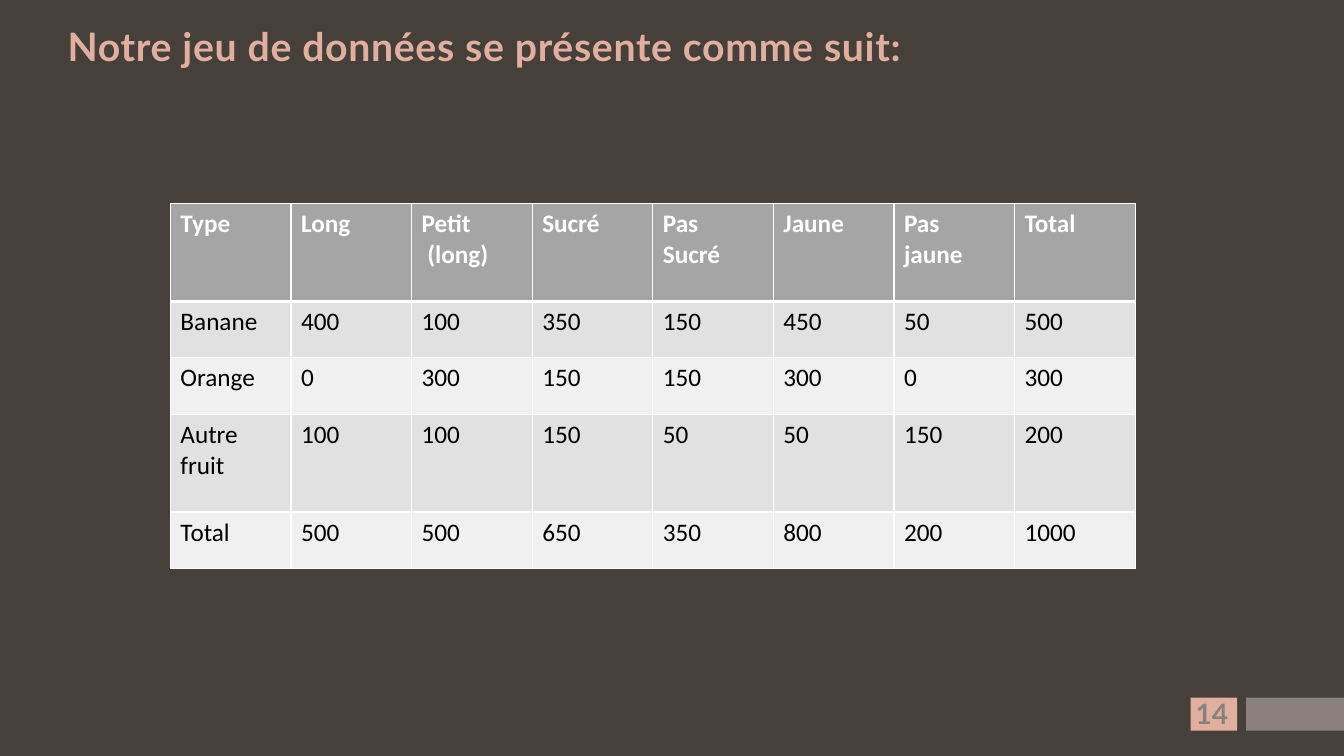
from lxml import etree
from pptx import Presentation, util as u
from pptx.dml.color import RGBColor
from pptx.enum import shapes, text
from pptx.oxml import ns

PX = u.Inches(1) // 100
BROWN = RGBColor(0x46, 0x3F, 0x3A)
TAUPE = RGBColor(0x8A, 0x81, 0x7C)
PINK = RGBColor(0xE0, 0xAF, 0xA0)
WHITE = RGBColor(0xFF, 0xFF, 0xFF)
BLACK = RGBColor(0, 0, 0)
HEADER_GREY = RGBColor(0xA5, 0xA5, 0xA5)
BANDS = [RGBColor(0xF0, 0xF0, 0xF0), RGBColor(0xE1, 0xE1, 0xE1)]

FRUITS = [
    ["Type", "Long", "Petit\n (long)", "Sucré", "Pas\nSucré", "Jaune", "Pas\njaune", "Total"],
    ["Banane", "400", "100", "350", "150", "450", "50", "500"],
    ["Orange", "0", "300", "150", "150", "300", "0", "300"],
    ["Autre fruit", "100", "100", "150", "50", "50", "150", "200"],
    ["Total", "500", "500", "650", "350", "800", "200", "1000"],
]
ROW_HEIGHTS = [97, 56, 56, 97, 56]


def emu(*lengths):
    """Turn px lengths into EMU."""
    return [length * PX for length in lengths]


def style(font, name, size, colour, bold):
    """Set the look of a font."""
    font.name, font.size, font.bold = name, u.Pt(size), bold
    font.color.rgb = colour


def add_block(slide, box, colour):
    """Draw a plain filled rectangle."""
    block = slide.shapes.add_shape(shapes.MSO_SHAPE.RECTANGLE, *emu(*box))
    block.shadow.inherit = False
    block.fill.solid()
    block.fill.fore_color.rgb = colour
    block.line.fill.background()


def add_label(slide, box, words, size, colour):
    """Write one unwrapped bold line and return its paragraph."""
    frame = slide.shapes.add_textbox(*emu(*box)).text_frame
    frame.word_wrap = False
    frame.auto_size = text.MSO_AUTO_SIZE.SHAPE_TO_FIT_TEXT
    line = frame.paragraphs[0]
    line.text = words
    style(line.font, "Lato", size, colour, True)
    return line


def add_title(slide, box):
    """Write the slide title, centred and slightly spaced."""
    title = add_label(slide, box, "Notre jeu de données se présente comme suit:", 28, PINK)
    title.alignment = text.PP_ALIGN.CENTER
    title.runs[0].font._element.set("spc", "50")


def add_page_mark(slide, left, top, width, height):
    """Draw the page number square and the bar running to the slide edge."""
    add_block(slide, (left + 55, top, width - 55, height), TAUPE)
    add_block(slide, (left, top, 46, height), PINK)
    add_label(slide, (left - 5, top - 6, 56, 44), "14", 20, TAUPE)


def add_borders(cell, top, bottom):
    """Give a cell white borders of the given top and bottom weights."""
    properties = cell._tc.get_or_add_tcPr()
    for place, (side, weight) in enumerate(zip("LRTB", (1, 1, top, bottom))):
        edge = etree.Element(ns.qn(f"a:ln{side}"), w=str(u.Pt(weight)))
        paint = etree.SubElement(edge, ns.qn("a:solidFill"))
        etree.SubElement(paint, ns.qn("a:srgbClr"), val=str(WHITE))
        properties.insert(place, edge)


def add_fruit_table(slide, left, top, width):
    """Place the table of fruit counts with banded rows."""
    table = slide.shapes.add_table(
        len(FRUITS), len(FRUITS[0]), *emu(left, top, width, sum(ROW_HEIGHTS))).table
    for row, height in zip(table.rows, ROW_HEIGHTS):
        row.height = height * PX
    for r, values in enumerate(FRUITS):
        is_header = r == 0
        for c, value in enumerate(values):
            cell = table.cell(r, c)
            cell.text = value
            cell.fill.solid()
            cell.fill.fore_color.rgb = HEADER_GREY if is_header else BANDS[r % 2]
            add_borders(cell, 3 if r == 1 else 1, 3 if is_header else 1)
            for line in cell.text_frame.paragraphs:
                style(line.font, "Calibri", 18, WHITE if is_header else BLACK, is_header)


def main():
    """Build and save the slide."""
    deck = Presentation()
    deck.slide_width, deck.slide_height = emu(1333, 750)
    slide = deck.slides.add_slide(deck.slide_layouts[6])
    add_block(slide, (0, 0, 1333, 750), BROWN)
    add_page_mark(slide, 1181, 692, 152, 33)
    add_title(slide, (8, 17, 946, 57))
    add_fruit_table(slide, 169, 202, 957)
    deck.save("out.pptx")


if __name__ == "__main__":
    main()
